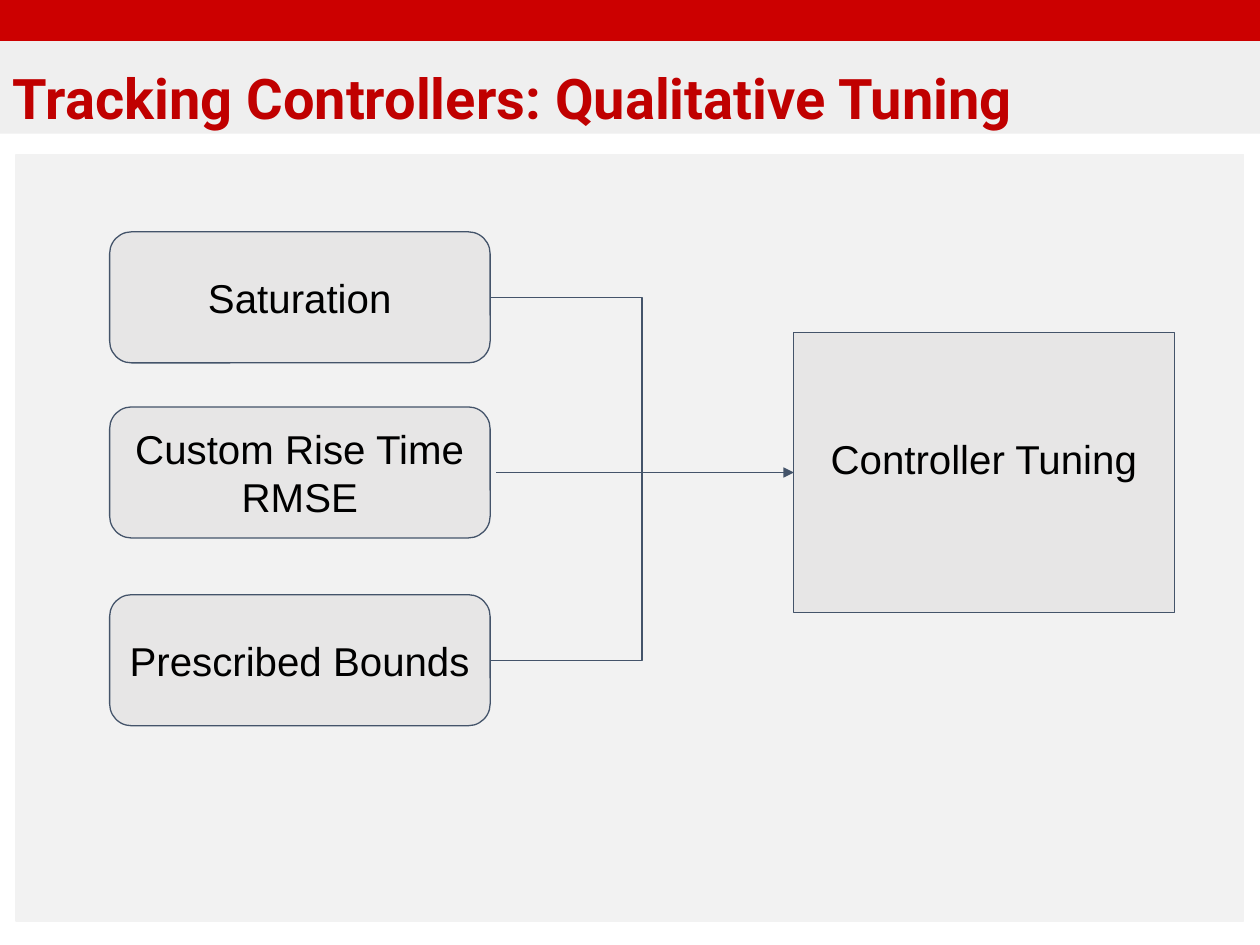
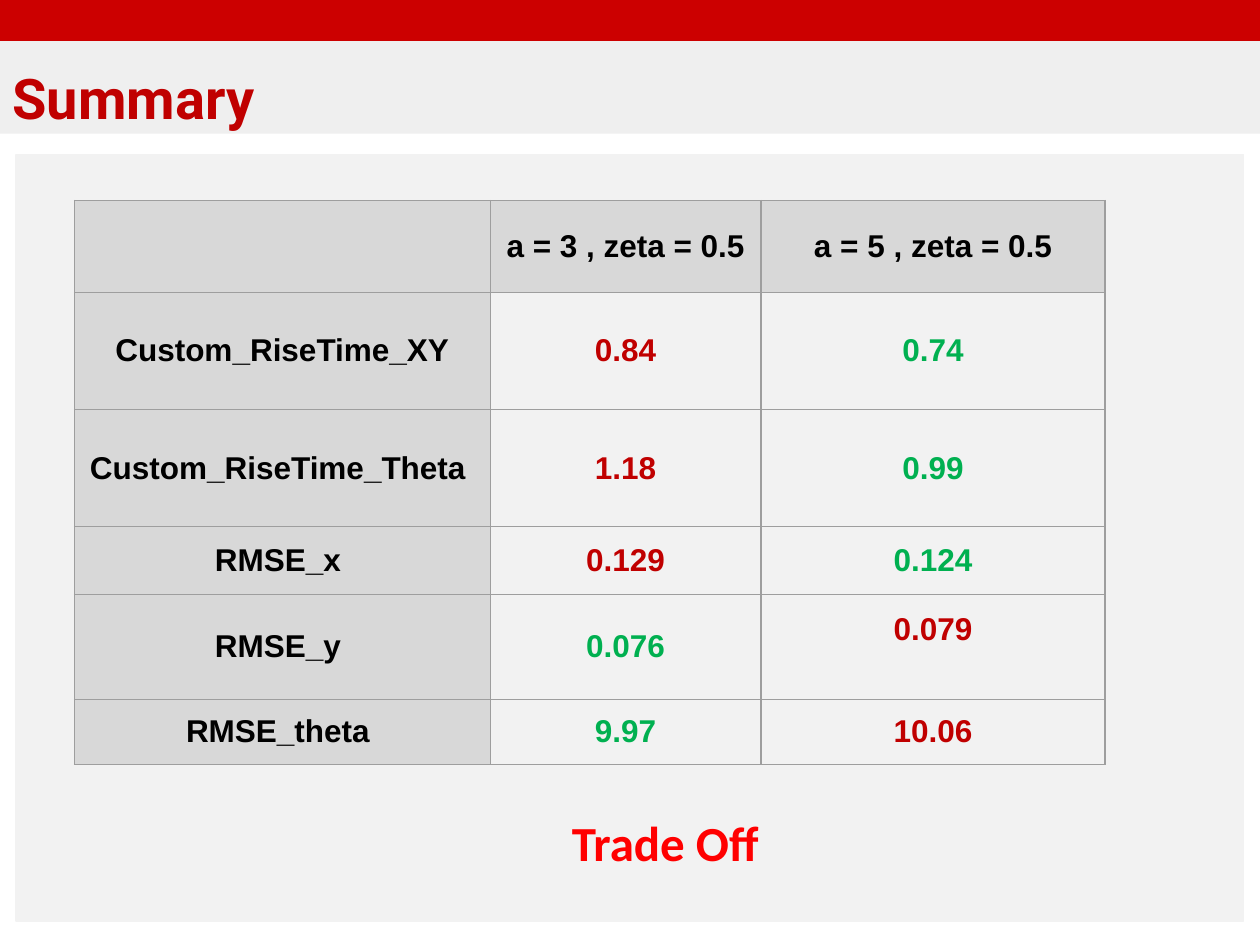
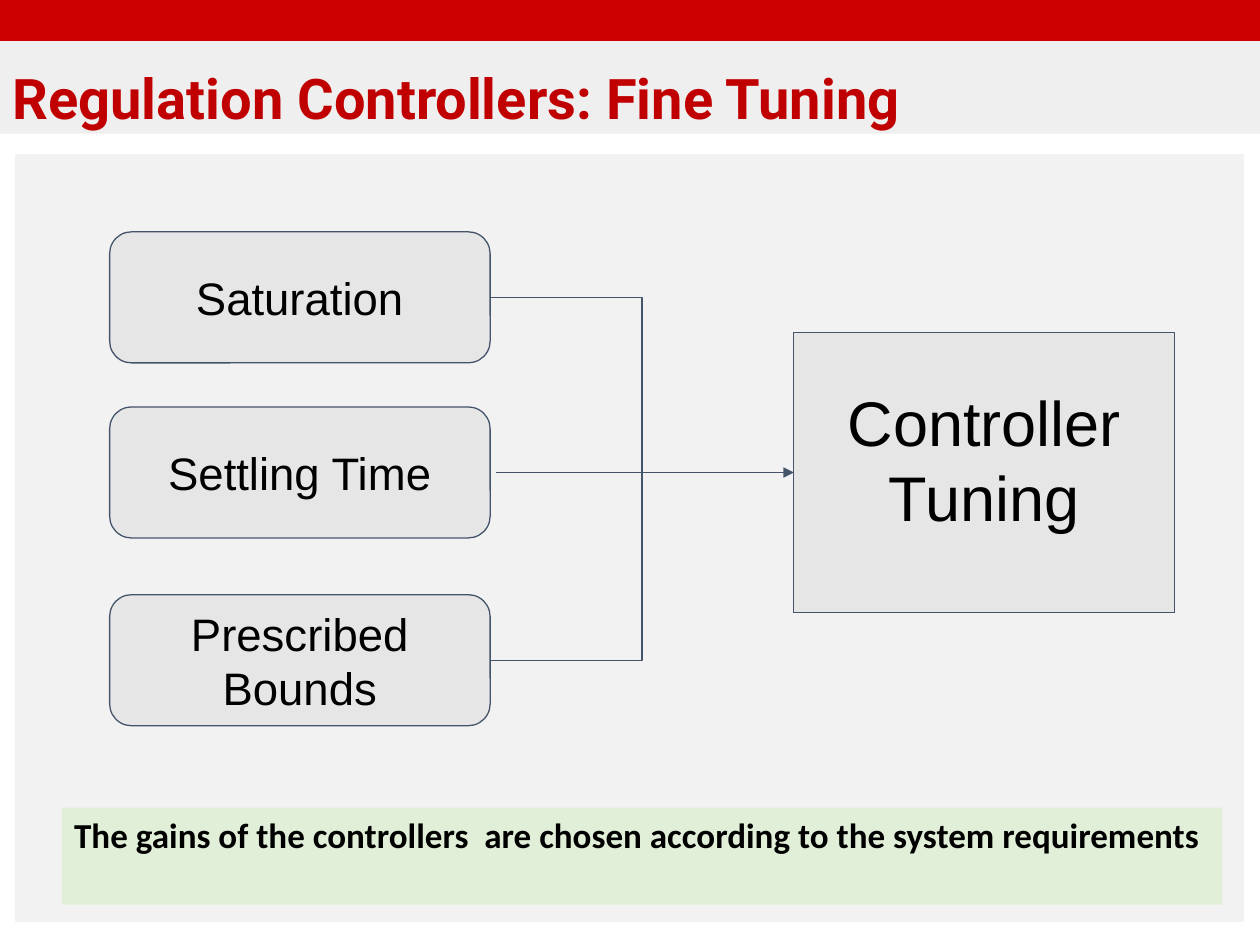
from lxml.etree import SubElement
from pptx import Presentation
from pptx.dml.color import RGBColor
from pptx.enum.shapes import MSO_CONNECTOR, MSO_SHAPE
from pptx.enum.text import MSO_ANCHOR, MSO_AUTO_SIZE, PP_ALIGN
from pptx.oxml.ns import qn
from pptx.util import Inches, Pt

BRIGHT_RED, DARK_RED, GREEN = "CC0000", "C00000", "00B050"
TITLE_GREY, PANEL_GREY, BOX_GREY, HEADER_GREY = "EFEFEF", "F2F2F2", "E7E6E6", "D8D8D8"
SLATE, BORDER_GREY, BLACK = "44546A", "9E9E9E", "000000"


def add_box(slide, kind, place, fill, line=None, line_width=1):
    """Add a preset shape at place (left, top, width, height in inches)."""
    box = slide.shapes.add_shape(kind, *[Inches(length) for length in place])
    box.shadow.inherit = False
    box.fill.solid()
    box.fill.fore_color.rgb = RGBColor.from_string(fill)
    if line:
        box.line.color.rgb = RGBColor.from_string(line)
        box.line.width = Pt(line_width)
    else:
        box.line.fill.background()
    return box


def write(frame, text, size, font, color=BLACK, bold=False, align=PP_ALIGN.LEFT,
          anchor=MSO_ANCHOR.TOP, bottom=0.1):
    """Fill a text frame, or a table cell's frame, with evenly formatted text."""
    frame.text = text
    frame.word_wrap = True
    frame.vertical_anchor = anchor
    frame.margin_left = frame.margin_right = frame.margin_top = Inches(0.1)
    frame.margin_bottom = Inches(bottom)
    for para in frame.paragraphs:
        para.alignment = align
        for span in para.runs:
            span.font.name = font
            span.font.size = Pt(size)
            span.font.bold = bold
            span.font.color.rgb = RGBColor.from_string(color)


deck = Presentation()
deck.slide_width, deck.slide_height = Inches(10), Inches(7.5)

# Shared frame: red band, title strip and grey panel
pages = []
for heading in ("Tracking Controllers: Qualitative Tuning", "Summary",
                "Regulation Controllers: Fine Tuning"):
    page = deck.slides.add_slide(deck.slide_layouts[5])
    pages.append(page)
    title = page.shapes.title
    title.left, title.top = Inches(0), Inches(0.32)
    title.width, title.height = Inches(10), Inches(0.74)
    title.fill.solid()
    title.fill.fore_color.rgb = RGBColor.from_string(TITLE_GREY)
    write(title.text_frame, heading, 32, "Roboto", DARK_RED, bold=True)
    title.text_frame.auto_size = MSO_AUTO_SIZE.NONE
    title.text_frame.paragraphs[0].line_spacing = 1.15
    add_box(page, MSO_SHAPE.RECTANGLE, (0, 0, 10, 0.32), BRIGHT_RED, BRIGHT_RED)
    add_box(page, MSO_SHAPE.RECTANGLE, (0.13, 1.23, 9.74, 6.08), PANEL_GREY, PANEL_GREY)
tracking, summary, regulation = pages

# Tuning diagrams: three inputs that lead to one target
diagrams = [
    (tracking, ["Saturation", "Custom Rise Time\nRMSE", "Prescribed Bounds"], 23, 23),
    (regulation, ["Saturation", "Settling Time", "Prescribed Bounds"], 26, 36),
]
for page, labels, input_size, target_size in diagrams:
    inputs = []
    for label, top in zip(labels, (1.84, 3.23, 4.72)):
        box = add_box(page, MSO_SHAPE.ROUNDED_RECTANGLE, (0.87, top, 3.02, 1.04),
                      BOX_GREY, SLATE, 0.75)
        write(box.text_frame, label, input_size, "Arial",
              align=PP_ALIGN.CENTER, anchor=MSO_ANCHOR.MIDDLE)
        inputs.append(box)
    target = add_box(page, MSO_SHAPE.RECTANGLE, (6.3, 2.64, 3.02, 2.22),
                     BOX_GREY, SLATE, 0.75)
    write(target.text_frame, "Controller Tuning", target_size, "Arial",
          align=PP_ALIGN.CENTER, anchor=MSO_ANCHOR.MIDDLE, bottom=0.32)

    for box in inputs:
        is_arrow = box is inputs[1]
        kind = MSO_CONNECTOR.STRAIGHT if is_arrow else MSO_CONNECTOR.ELBOW
        link = page.shapes.add_connector(kind, Inches(3.94), Inches(3.75),
                                         Inches(6.3), Inches(3.75))
        link.line.color.rgb = RGBColor.from_string(SLATE)
        link.line.width = Pt(0.75)
        if is_arrow:
            outline = link._element.spPr.find(qn("a:ln"))
            SubElement(outline, qn("a:tailEnd"), type="triangle")
        else:
            link.begin_connect(box, 3)
        link.end_connect(target, 1)
        SubElement(link._element.spPr, qn("a:effectLst"))

# Summary table
rows = [
    ("", "a = 3 , zeta = 0.5", "a = 5 , zeta = 0.5"),
    ("Custom_RiseTime_XY", "0.84", "0.74"),
    ("Custom_RiseTime_Theta ", "1.18", "0.99"),
    ("RMSE_x ", "0.129", "0.124"),
    ("RMSE_y ", "0.076", "0.079"),
    ("RMSE_theta ", "9.97", "10.06"),
]
column_widths = (3.3, 2.15, 2.73)
row_heights = (0.73, 0.93, 0.93, 0.54, 0.83, 0.52)
table = summary.shapes.add_table(
    len(rows), len(column_widths), Inches(0.59), Inches(1.59),
    Inches(sum(column_widths)), Inches(sum(row_heights))).table
table.first_row = table.horz_banding = False
for column, width in zip(table.columns, column_widths):
    column.width = Inches(width)
for row, height in zip(table.rows, row_heights):
    row.height = Inches(height)

for row_index, row in enumerate(rows):
    for column_index, text in enumerate(row):
        cell = table.cell(row_index, column_index)
        is_header = row_index == 0 or column_index == 0
        color = BLACK
        if not is_header:
            best = min(row[1:], key=float)
            color = GREEN if text == best else DARK_RED
        write(cell.text_frame, text, 18, "Arial", color, bold=True, align=PP_ALIGN.CENTER)
        cell.vertical_anchor = MSO_ANCHOR.MIDDLE
        cell.margin_left = cell.margin_right = Inches(0.1)
        cell.margin_top = Inches(0.1)
        cell.margin_bottom = Inches(0.38 if text == "0.079" else 0.1)

        properties = cell._tc.get_or_add_tcPr()
        for side in ("lnL", "lnR", "lnT", "lnB"):
            border = SubElement(properties, qn("a:" + side), w=str(Pt(0.75)))
            border_fill = SubElement(border, qn("a:solidFill"))
            SubElement(border_fill, qn("a:srgbClr"), val=BORDER_GREY)
        if is_header:
            cell.fill.solid()
            cell.fill.fore_color.rgb = RGBColor.from_string(HEADER_GREY)
        else:
            cell.fill.background()

verdict = summary.shapes.add_textbox(Inches(4.44), Inches(6.35), Inches(1.76), Inches(0.67))
write(verdict.text_frame, "Trade Off", 28, "Calibri", "FF0000", bold=True)

# Closing note on the regulation slide
note = add_box(regulation, MSO_SHAPE.RECTANGLE, (0.49, 6.41, 9.21, 0.77), "E1EFD8")
write(note.text_frame,
      "The gains of the controllers  are chosen according to the system requirements",
      20, "Calibri", bold=True, bottom=0.05)
note.text_frame.margin_top = Inches(0.05)

deck.save("out.pptx")
